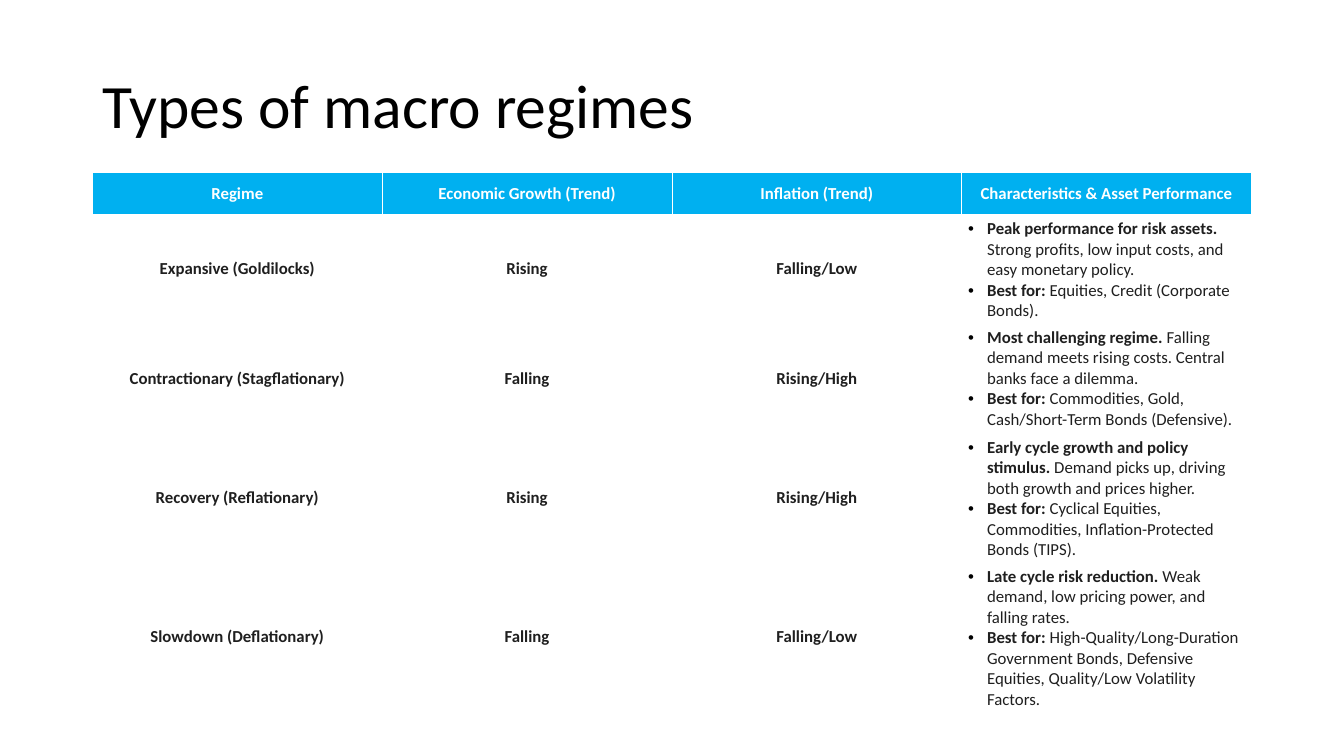
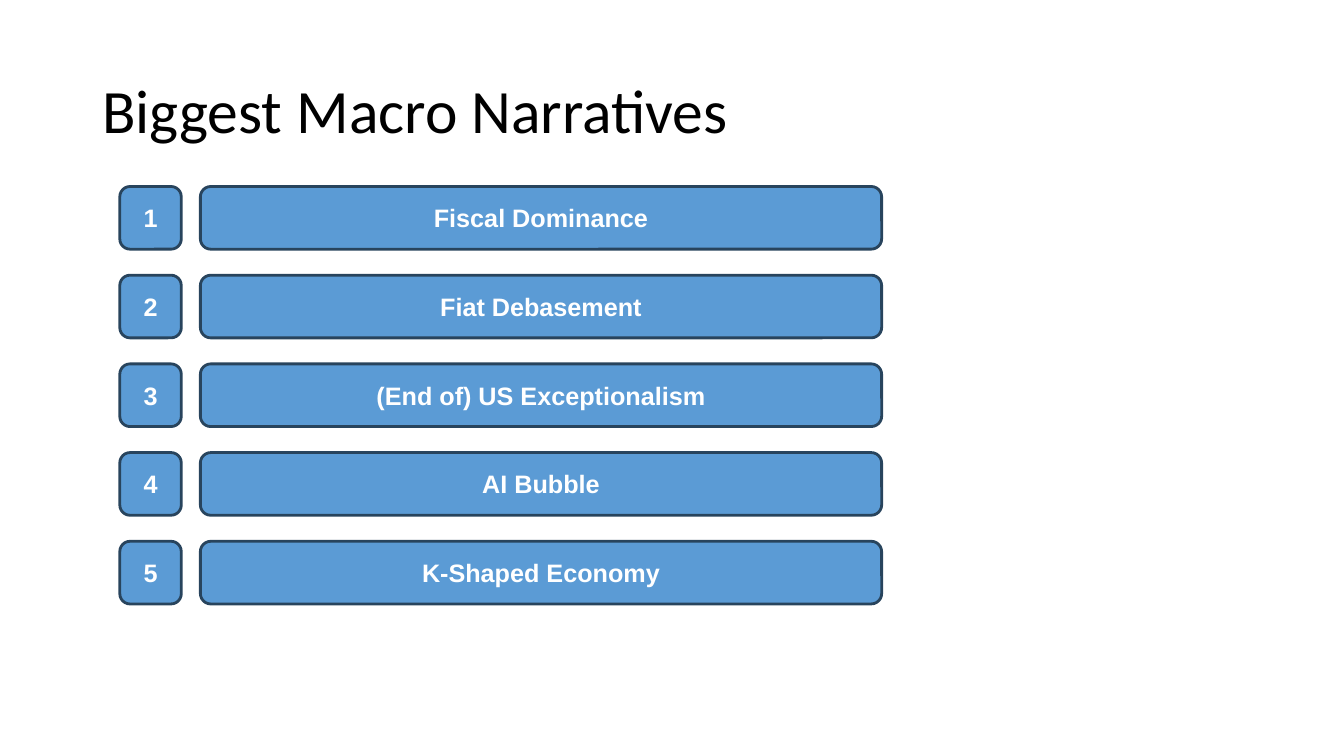
from lxml import etree
from pptx import Presentation
from pptx.dml.color import RGBColor
from pptx.enum.shapes import MSO_SHAPE
from pptx.enum.text import MSO_ANCHOR, PP_ALIGN
from pptx.oxml.ns import qn
from pptx.util import Cm, Pt

ROUNDED = MSO_SHAPE.ROUNDED_RECTANGLE
MIDDLE = MSO_ANCHOR.MIDDLE
CENTER, LEFT = PP_ALIGN.CENTER, PP_ALIGN.LEFT

COLORS = {
    "black": "000000",
    "white": "FFFFFF",
    "ink": "1F1F1F",
    "header": "00B0F0",
    "bar": "5B9BD5",
    "outline": "28445D",
}
BODY_FONT, BAR_FONT = "Calibri", "Arial"
MARGIN, CONTENT_WIDTH, TITLE_HEIGHT = Cm(2.33), Cm(29.21), Cm(3.68)

HEADERS = ["Regime", "Economic Growth (Trend)", "Inflation (Trend)",
           "Characteristics & Asset Performance"]
ROW_HEIGHTS = [1.07, 2.34, 2.77, 2.77, 3.18]
REGIMES = [
    ("Expansive (Goldilocks)", "Rising", "Falling/Low",
     [("Peak performance for risk assets.",
       " Strong profits, low input costs, and easy monetary policy."),
      ("Best for:", " Equities, Credit (Corporate Bonds).")]),
    ("Contractionary (Stagflationary)", "Falling", "Rising/High",
     [("Most challenging regime.",
       " Falling demand meets rising costs. Central banks face a dilemma."),
      ("Best for:", " Commodities, Gold, Cash/Short-Term Bonds (Defensive).")]),
    ("Recovery (Reflationary)", "Rising", "Rising/High",
     [("Early cycle growth and policy stimulus.",
       " Demand picks up, driving both growth and prices higher."),
      ("Best for:",
       " Cyclical Equities, Commodities, Inflation-Protected Bonds (TIPS).")]),
    ("Slowdown (Deflationary)", "Falling", "Falling/Low",
     [("Late cycle risk reduction.",
       " Weak demand, low pricing power, and falling rates."),
      ("Best for:", " High-Quality/Long-Duration Government Bonds, "
       "Defensive Equities, Quality/Low Volatility Factors.")]),
]
NARRATIVES = ["Fiscal Dominance", "Fiat Debasement", "(End of) US Exceptionalism",
              "AI Bubble", "K-Shaped Economy"]


def rgb(name):
    """Return the named colour."""
    return RGBColor.from_string(COLORS[name])


def style(para, font, size, color, bold=None, align=LEFT):
    """Set the font and alignment of a paragraph."""
    para.alignment = align
    para.font.name = font
    para.font.size = Pt(size)
    para.font.color.rgb = rgb(color)
    para.font.bold = bold


def add_bullet(para, indent):
    """Give a paragraph a hanging round bullet."""
    props = para._p.get_or_add_pPr()
    props.set("marL", str(indent))
    props.set("indent", str(-indent))
    color = etree.SubElement(props, qn("a:buClr"))
    etree.SubElement(color, qn("a:srgbClr"), val=COLORS["black"])
    etree.SubElement(props, qn("a:buFont"), typeface=BAR_FONT)
    etree.SubElement(props, qn("a:buChar"), char="•")


def add_borders(cell):
    """Draw thin white lines on all sides of a cell."""
    props = cell._tc.get_or_add_tcPr()
    for position, side in enumerate(("a:lnL", "a:lnR", "a:lnT", "a:lnB")):
        line = etree.Element(qn(side), w=str(Pt(0.5)))
        fill = etree.SubElement(line, qn("a:solidFill"))
        etree.SubElement(fill, qn("a:srgbClr"), val=COLORS["white"])
        props.insert(position, line)


def add_title(page, text, top):
    """Place the slide title."""
    box = page.shapes.add_textbox(MARGIN, top, CONTENT_WIDTH, TITLE_HEIGHT)
    frame = box.text_frame
    frame.word_wrap = True
    frame.vertical_anchor = MIDDLE
    para = frame.paragraphs[0]
    para.text = text
    para.line_spacing = 0.9
    style(para, BODY_FONT, 44, "black")


def fill_cell(cell, content, is_header):
    """Fill a cell with a centred label or a list of bullets."""
    cell.vertical_anchor = MIDDLE
    cell.margin_left = cell.margin_right = Cm(0.16)
    cell.margin_top = cell.margin_bottom = Cm(0.1)
    if is_header:
        cell.fill.solid()
        cell.fill.fore_color.rgb = rgb("header")
    else:
        cell.fill.background()
    add_borders(cell)
    frame = cell.text_frame
    if isinstance(content, str):
        para = frame.paragraphs[0]
        para.text = content
        style(para, BODY_FONT, 12, "white" if is_header else "ink", True, CENTER)
        return
    for index, (lead, rest) in enumerate(content):
        para = frame.add_paragraph() if index else frame.paragraphs[0]
        add_bullet(para, Cm(0.48))
        for text, bold in ((lead, True), (rest, False)):
            span = para.add_run()
            span.text = text
            span.font.bold = bold
        style(para, BODY_FONT, 12, "ink")


def add_regime_table(page, left, top, width):
    """Place the table of regimes."""
    rows = [HEADERS, *REGIMES]
    table = page.shapes.add_table(len(rows), len(HEADERS), left, top, width,
                                  Cm(sum(ROW_HEIGHTS))).table
    table.first_row = True
    table.horz_banding = False
    for row_index, (contents, height) in enumerate(zip(rows, ROW_HEIGHTS)):
        table.rows[row_index].height = Cm(height)
        for column_index, content in enumerate(contents):
            fill_cell(table.cell(row_index, column_index), content, row_index == 0)


def add_bar(page, text, left, top, width, height):
    """Place one rounded bar with a centred label."""
    bar = page.shapes.add_shape(ROUNDED, left, top, width, height)
    bar.shadow.inherit = False
    bar.fill.solid()
    bar.fill.fore_color.rgb = rgb("bar")
    bar.line.color.rgb = rgb("outline")
    bar.line.width = Pt(2)
    bar.text_frame.word_wrap = True
    bar.text_frame.vertical_anchor = MIDDLE
    para = bar.text_frame.paragraphs[0]
    para.text = text
    style(para, BAR_FONT, 18, "white", True, CENTER)


def add_numbered_bars(page, left, top, width):
    """Place the numbered narratives at equal steps."""
    height, step = Cm(1.58), Cm(2.235)
    number_width, label_offset = Cm(1.55), Cm(2.03)
    for index, narrative in enumerate(NARRATIVES):
        bar_top = top + index * step
        add_bar(page, narrative, left + label_offset, bar_top,
                width - label_offset, height)
        add_bar(page, str(index + 1), left, bar_top, number_width, height)


def main():
    """Build and save the deck."""
    deck = Presentation()
    deck.slide_width, deck.slide_height = Cm(33.87), Cm(19.05)
    blank = deck.slide_layouts[6]

    page = deck.slides.add_slide(blank)
    add_title(page, "Types of macro regimes", Cm(0.89))
    add_regime_table(page, MARGIN, Cm(4.34), CONTENT_WIDTH)

    page = deck.slides.add_slide(blank)
    add_title(page, "Biggest Macro Narratives", Cm(1.02))
    add_numbered_bars(page, Cm(3.02), Cm(4.7), Cm(19.2))

    deck.save("out.pptx")


if __name__ == "__main__":
    main()
